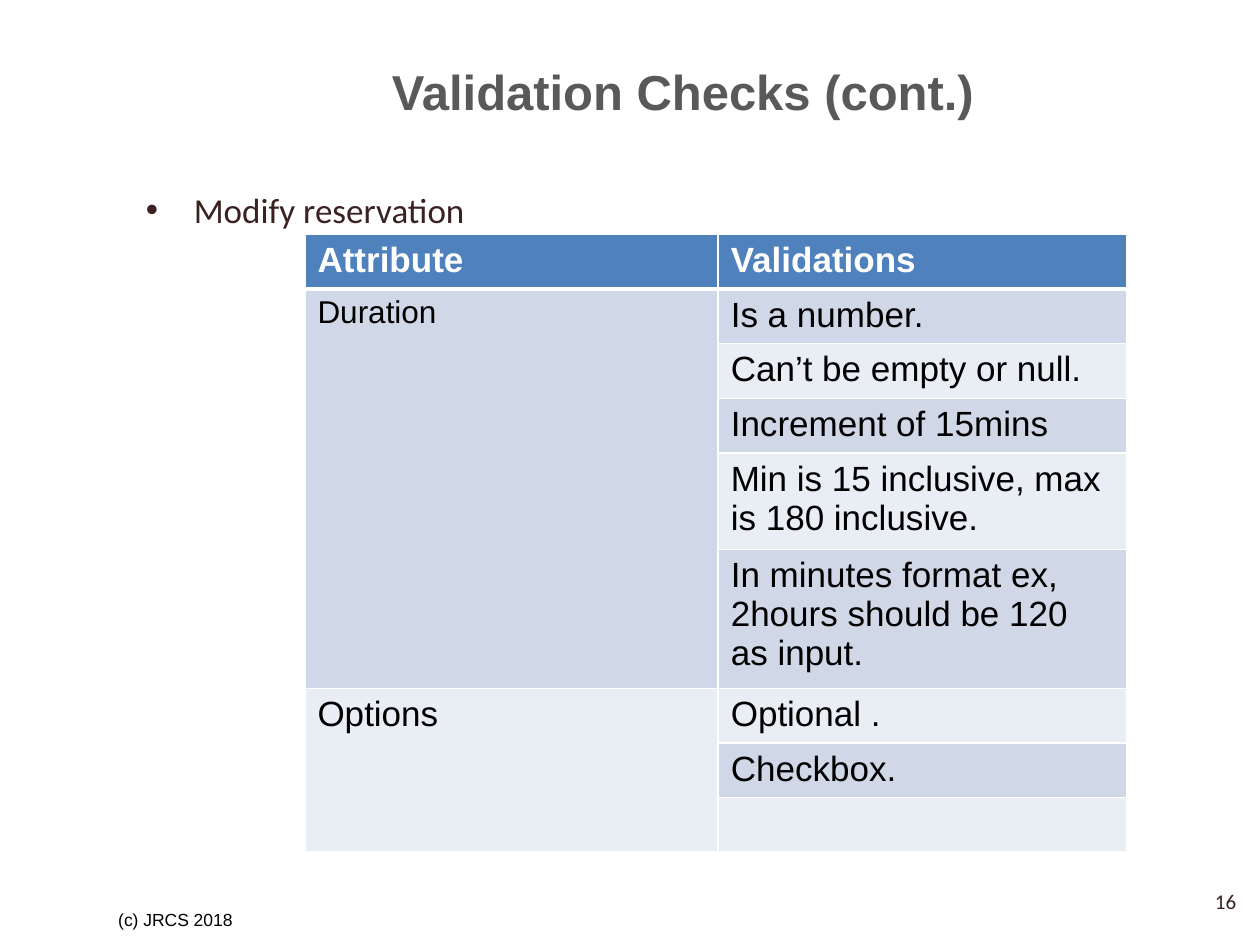
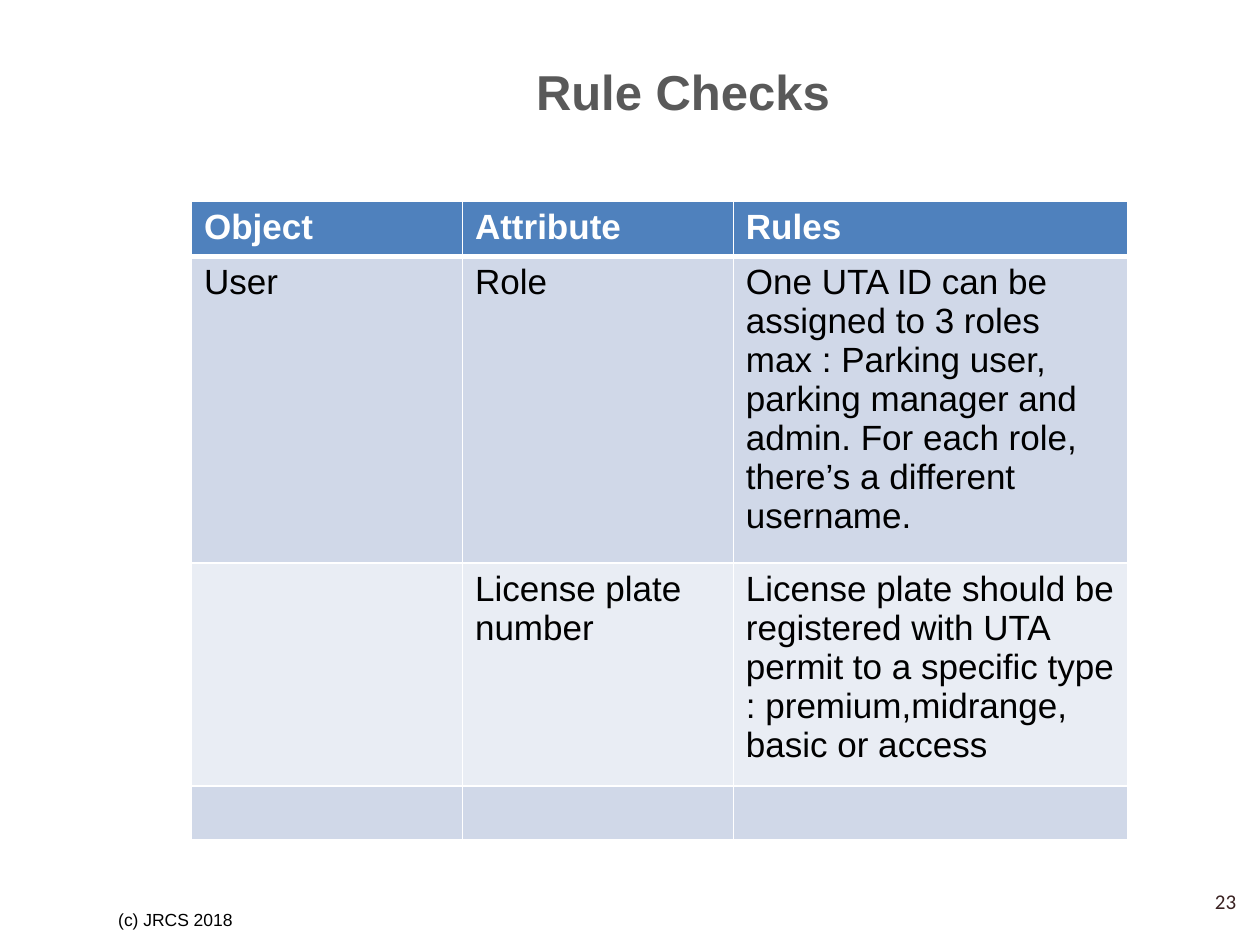
from lxml import etree
from pptx import Presentation
from pptx.dml.color import RGBColor
from pptx.enum.text import MSO_ANCHOR, PP_ALIGN
from pptx.oxml.ns import qn
from pptx.util import Inches, Pt

LEFT, CENTER, RIGHT = PP_ALIGN.LEFT, PP_ALIGN.CENTER, PP_ALIGN.RIGHT
TOP, MIDDLE = MSO_ANCHOR.TOP, MSO_ANCHOR.MIDDLE

WHITE = RGBColor(0xFF, 0xFF, 0xFF)
BLACK = RGBColor(0x00, 0x00, 0x00)
TITLE_GRAY = RGBColor(0x59, 0x59, 0x59)
BROWN = RGBColor(0x3A, 0x22, 0x22)
HEADER_BLUE = RGBColor(0x4F, 0x81, 0xBD)
BANDS = (RGBColor(0xD0, 0xD8, 0xE8), RGBColor(0xE9, 0xED, 0xF4))

HEADING_FONT, BODY_FONT = "Arial", "Calibri"
TITLE_BOX = (0.92, 0.3, 9, 0.84)
FOOTER_BOX = (0.84, 7.1, 2.33, 0.4)
NUMBER_BOX = (7.58, 6.95, 2.33, 0.4)
BODY_BOX = (1.06, 1.45, 8.67, 5.3)
ROW, CELL_PAD, LINE = 0.41, 0.1, 0.31


def add_run(paragraph, text, size, font, color, bold=False):
    """Append one formatted run to a paragraph."""
    run = paragraph.add_run()
    run.text = text
    run.font.size = Pt(size)
    run.font.name = font
    run.font.color.rgb = color
    run.font.bold = bold


def add_text(slide, box, text, size, font, color, align=LEFT, anchor=MIDDLE, bold=False):
    """Add a wrapped one-paragraph text box and return its paragraph."""
    frame = slide.shapes.add_textbox(*map(Inches, box)).text_frame
    frame.word_wrap = True
    frame.vertical_anchor = anchor
    paragraph = frame.paragraphs[0]
    paragraph.alignment = align
    add_run(paragraph, text, size, font, color, bold)
    return paragraph


def add_bullet(slide, box, text):
    """Add a bulleted line at the top of the body box."""
    paragraph = add_text(slide, box, text, 20, BODY_FONT, BROWN, anchor=TOP)
    properties = paragraph._p.get_or_add_pPr()
    properties.set("marL", str(Inches(0.38)))
    properties.set("indent", str(-Inches(0.38)))
    etree.SubElement(properties, qn("a:buFont"), typeface="Arial")
    etree.SubElement(properties, qn("a:buChar"), char="•")


def set_borders(cell, row):
    """Draw white cell borders, thicker below the header row."""
    properties = cell._tc.get_or_add_tcPr()
    widths = {"L": 1, "R": 1, "T": 3 if row == 1 else 1, "B": 3 if row == 0 else 1}
    for side, width in widths.items():
        line = etree.SubElement(properties, qn(f"a:ln{side}"), w=str(Pt(width)))
        fill = etree.SubElement(line, qn("a:solidFill"))
        etree.SubElement(fill, qn("a:srgbClr"), val=str(WHITE))


def add_check_table(slide, left, top, columns, heights, rows, spans=(), sizes=None):
    """Add a banded table; spans lists (first row, last row) of merged first cells."""
    sizes = sizes or {}
    box = (left, top, sum(columns), sum(heights))
    table = slide.shapes.add_table(len(rows), len(columns), *map(Inches, box)).table
    for column, width in zip(table.columns, columns):
        column.width = Inches(width)
    for index, (height, texts) in enumerate(zip(heights, rows)):
        table.rows[index].height = Inches(height)
        header = index == 0
        for column, text in enumerate(texts):
            cell = table.cell(index, column)
            set_borders(cell, index)
            cell.fill.solid()
            cell.fill.fore_color.rgb = HEADER_BLUE if header else BANDS[(index - 1) % 2]
            if text:
                add_run(cell.text_frame.paragraphs[0], text, sizes.get(text, 20),
                        HEADING_FONT, WHITE if header else BLACK, header)
    for first, last in spans:
        table.cell(first, 0).merge(table.cell(last, 0))


def add_base_slide(prs, title, number):
    """Add a blank slide with the shared title, footer and page number."""
    slide = prs.slides.add_slide(prs.slide_layouts[6])
    add_text(slide, FOOTER_BOX, "(c) JRCS 2018", 10, HEADING_FONT, BLACK)
    add_text(slide, TITLE_BOX, title, 28, HEADING_FONT, TITLE_GRAY, CENTER, bold=True)
    add_text(slide, NUMBER_BOX, number, 12, BODY_FONT, BROWN, RIGHT)
    return slide


def row_height(lines):
    """Return the height of a row holding the given number of text lines."""
    return lines * LINE + CELL_PAD


def build_validation_slide(prs):
    """Build the slide on validations for modifying a reservation."""
    slide = add_base_slide(prs, "Validation Checks (cont.)", "16")
    add_bullet(slide, BODY_BOX, "Modify reservation")
    rows = [
        ("Attribute", "Validations"),
        ("Duration", "Is a number."),
        ("", "Can’t be empty or null."),
        ("", "Increment of 15mins"),
        ("", "Min is 15 inclusive, max is 180 inclusive."),
        ("", "In minutes format ex, 2hours should be 120 as input."),
        ("Options", "Optional ."),
        ("", "Checkbox."),
        ("", ""),
    ]
    heights = [ROW] * 4 + [row_height(2), row_height(3), ROW, ROW, 0.43]
    add_check_table(slide, 2.42, 1.86, (3.28, 3.24), heights, rows,
                    spans=((1, 5), (6, 8)), sizes={"Duration": 18})


def build_rules_slide(prs):
    """Build the slide on rules for user attributes."""
    slide = add_base_slide(prs, "Rule Checks", "23")
    rows = [
        ("Object", "Attribute", "Rules"),
        ("User", "Role",
         "One UTA ID can be assigned to 3 roles max : Parking user, parking manager "
         "and admin. For each role, there’s a different username."),
        ("", "License plate number",
         "License plate should be registered with UTA permit to a specific type : "
         "premium,midrange, basic or access"),
        ("", "", ""),
    ]
    heights = [ROW, row_height(7), row_height(5), 0.43]
    add_check_table(slide, 1.52, 1.6, (2.15, 2.15, 3.13), heights, rows)


def main():
    """Build and save the presentation."""
    prs = Presentation()
    prs.slide_width, prs.slide_height = Inches(10), Inches(7.5)
    build_validation_slide(prs)
    build_rules_slide(prs)
    prs.save("out.pptx")


if __name__ == "__main__":
    main()
